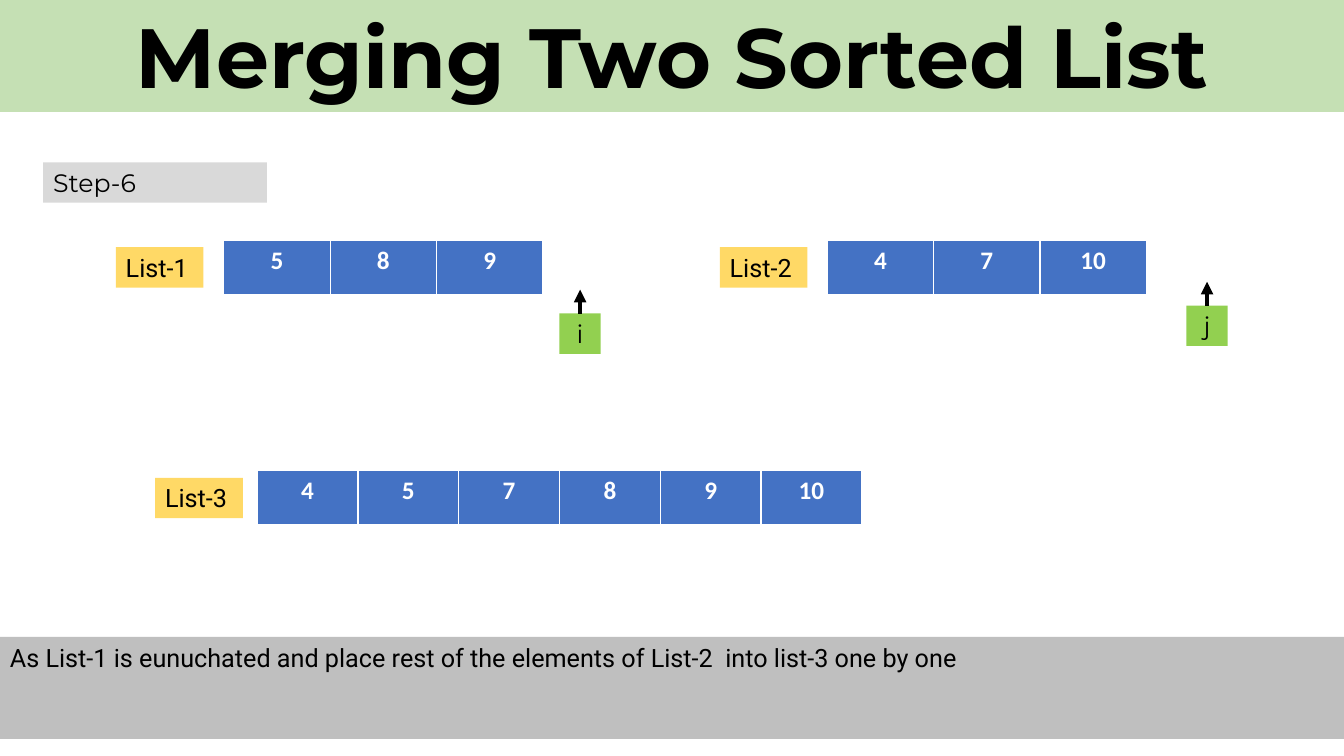
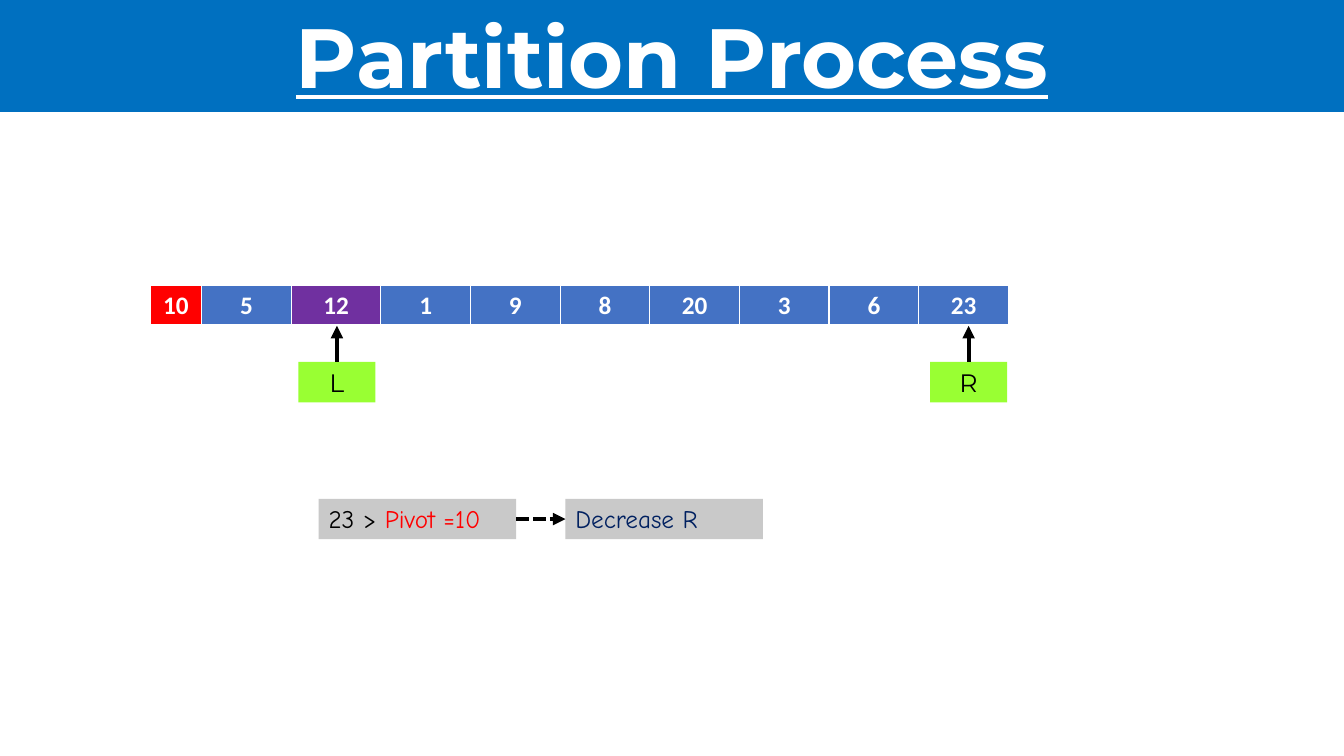
"""Build two slides on merging sorted lists and partitioning around a pivot."""
from dataclasses import dataclass, field

from pptx import Presentation
from pptx.dml.color import RGBColor
from pptx.enum.dml import MSO_LINE
from pptx.enum.shapes import MSO_CONNECTOR
from pptx.enum.text import MSO_ANCHOR, MSO_AUTO_SIZE, PP_ALIGN
from pptx.oxml.ns import qn
from pptx.oxml.xmlchemy import OxmlElement
from pptx.shapes.autoshape import Shape
from pptx.shapes.connector import Connector
from pptx.slide import Slide
from pptx.util import Cm, Pt

LEFT, CENTER = PP_ALIGN.LEFT, PP_ALIGN.CENTER
TOP = MSO_ANCHOR.TOP
FIXED_SIZE = MSO_AUTO_SIZE.NONE
STRAIGHT = MSO_CONNECTOR.STRAIGHT
SHORT_DASH = MSO_LINE.SQUARE_DOT
TOP_SIDE, LEFT_SIDE, RIGHT_SIDE = 0, 1, 3

BLACK = RGBColor(0x00, 0x00, 0x00)
WHITE = RGBColor(0xFF, 0xFF, 0xFF)
RED = RGBColor(0xFF, 0x00, 0x00)
NAVY = RGBColor(0x00, 0x20, 0x60)
PURPLE = RGBColor(0x70, 0x30, 0xA0)
CELL_BLUE = RGBColor(0x44, 0x72, 0xC4)
TITLE_BLUE = RGBColor(0x00, 0x70, 0xC0)
TITLE_GREEN = RGBColor(0xC5, 0xE0, 0xB4)
INDEX_GREEN = RGBColor(0x92, 0xD0, 0x50)
SCAN_GREEN = RGBColor(0x99, 0xFF, 0x33)
YELLOW = RGBColor(0xFF, 0xD9, 0x66)
STEP_GREY = RGBColor(0xD9, 0xD9, 0xD9)
NOTE_GREY = RGBColor(0xBF, 0xBF, 0xBF)
TEST_GREY = RGBColor(0xC9, 0xC9, 0xC9)

SLIDE_WIDTH, SLIDE_HEIGHT = 33.87, 19.05
TITLE_HEIGHT = 2.82
LABEL_HEIGHT = 1.02
LABEL_DROP = 0.18
LIST_HEIGHT = 1.4

HEADING_FORMAT = {"name": "Montserrat", "size": Pt(60), "bold": True}
STEP_FORMAT = {"name": "Montserrat", "size": Pt(18)}
BODY_FORMAT = {"name": "Roboto", "size": Pt(18)}
TEST_FORMAT = {"name": "Comic Neue", "size": Pt(18)}
CELL_FORMAT = {"name": "Calibri", "size": Pt(18), "bold": True}
BORDERS = {"a:lnL": 1, "a:lnR": 1, "a:lnT": 1, "a:lnB": 3}


@dataclass
class Words:
    text: str
    color: RGBColor = BLACK


@dataclass
class Box:
    left: float
    top: float
    width: float
    words: list[Words]
    fill: RGBColor
    text_format: dict
    height: float = LABEL_HEIGHT
    align: PP_ALIGN = LEFT


@dataclass
class NumberRow:
    left: float
    top: float
    height: float
    column_width: float
    values: list[int]
    first_width: float | None = None
    highlights: dict[int, RGBColor] = field(default_factory=dict)


@dataclass
class NamedList:
    name: str
    label_left: float
    numbers: NumberRow


@dataclass
class Pointer:
    name: str
    left: float
    top: float
    width: float
    reach: float
    fill: RGBColor


LISTS = [
    NamedList("List-1", 2.92, NumberRow(5.64, 6.05, LIST_HEIGHT, 2.68, [5, 8, 9])),
    NamedList("List-2", 18.14, NumberRow(20.85, 6.05, LIST_HEIGHT, 2.68, [4, 7, 10])),
    NamedList("List-3", 3.91,
              NumberRow(6.48, 11.86, LIST_HEIGHT, 2.54, [4, 5, 7, 8, 9, 10])),
]
MERGE_POINTERS = [
    Pointer("i", 14.1, 7.9, 1.04, 0.6, INDEX_GREEN),
    Pointer("j", 29.9, 7.7, 1.04, 0.6, INDEX_GREEN),
]
PARTITION_ROW = NumberRow(
    3.78, 7.19, 1.03, 2.26, [10, 5, 12, 1, 9, 8, 20, 3, 6, 23],
    first_width=1.3, highlights={0: RED, 2: PURPLE},
)
PARTITION_POINTERS = [
    Pointer("L", 7.52, 9.12, 1.94, 0.91, SCAN_GREEN),
    Pointer("R", 23.44, 9.12, 1.94, 0.91, SCAN_GREEN),
]
STEP = Box(1.09, 4.09, 5.64, [Words("Step-6")], STEP_GREY, STEP_FORMAT)
NOTE = Box(
    0, 16.05, SLIDE_WIDTH,
    [Words("As List-1 is eunuchated and place rest of the elements of List-2  "
           "into list-3 one by one")],
    NOTE_GREY, BODY_FORMAT, height=2.57,
)
PIVOT_TEST = Box(8.03, 12.57, 4.98, [Words("23 > "), Words("Pivot =10", RED)],
                 TEST_GREY, TEST_FORMAT)
OUTCOME = Box(14.25, 12.57, 4.98, [Words("Decrease R", NAVY)], TEST_GREY, TEST_FORMAT)


def write_words(paragraph, words: Words, text_format: dict) -> None:
    run = paragraph.add_run()
    run.text = words.text
    for attribute, value in text_format.items():
        setattr(run.font, attribute, value)
    run.font.color.rgb = words.color


def draw_box(slide: Slide, box: Box) -> Shape:
    shape = slide.shapes.add_textbox(
        Cm(box.left), Cm(box.top), Cm(box.width), Cm(box.height))
    shape.fill.solid()
    shape.fill.fore_color.rgb = box.fill
    frame_format = {"word_wrap": True, "auto_size": FIXED_SIZE, "vertical_anchor": TOP}
    for attribute, value in frame_format.items():
        setattr(shape.text_frame, attribute, value)
    paragraph = shape.text_frame.paragraphs[0]
    paragraph.alignment = box.align
    for words in box.words:
        write_words(paragraph, words, box.text_format)
    return shape


def draw_title(slide: Slide, text: str, fill: RGBColor, color: RGBColor,
               underline: bool = False) -> None:
    text_format = HEADING_FORMAT | {"underline": underline}
    draw_box(slide, Box(0, 0, SLIDE_WIDTH, [Words(text, color)], fill, text_format,
                        height=TITLE_HEIGHT, align=CENTER))


def add_border(cell, side: str, points: int) -> None:
    border = OxmlElement(side)
    border.set("w", str(Pt(points)))
    fill = OxmlElement("a:solidFill")
    color = OxmlElement("a:srgbClr")
    color.set("val", str(WHITE))
    fill.append(color)
    border.append(fill)
    cell._tc.get_or_add_tcPr().append(border)


def draw_numbers(slide: Slide, numbers: NumberRow) -> None:
    count = len(numbers.values)
    widths = [numbers.column_width] * count
    if numbers.first_width is not None:
        widths[0] = numbers.first_width
    table = slide.shapes.add_table(
        1, count, Cm(numbers.left), Cm(numbers.top),
        Cm(sum(widths)), Cm(numbers.height)).table
    table.first_row = table.horz_banding = False
    for index, (value, width) in enumerate(zip(numbers.values, widths)):
        table.columns[index].width = Cm(width)
        cell = table.cell(0, index)
        for side, points in BORDERS.items():
            add_border(cell, side, points)
        cell.fill.solid()
        cell.fill.fore_color.rgb = numbers.highlights.get(index, CELL_BLUE)
        paragraph = cell.text_frame.paragraphs[0]
        paragraph.alignment = CENTER
        write_words(paragraph, Words(str(value), WHITE), CELL_FORMAT)


def draw_arrow(slide: Slide, start: Shape, side: int, end_x: int, end_y: int) -> Connector:
    arrow = slide.shapes.add_connector(STRAIGHT, end_x, end_y, end_x, end_y)
    arrow.begin_connect(start, side)
    arrow.line.color.rgb = BLACK
    arrow.line.width = Pt(3)
    properties = arrow.element.spPr
    head = OxmlElement("a:tailEnd")
    head.set("type", "triangle")
    properties.find(qn("a:ln")).append(head)
    properties.append(OxmlElement("a:effectLst"))
    return arrow


def draw_pointer(slide: Slide, pointer: Pointer) -> None:
    label = draw_box(slide, Box(pointer.left, pointer.top, pointer.width,
                                [Words(pointer.name)], pointer.fill, STEP_FORMAT,
                                align=CENTER))
    draw_arrow(slide, label, TOP_SIDE, label.left + label.width // 2,
               Cm(pointer.top - pointer.reach))


def draw_list(slide: Slide, named: NamedList) -> None:
    draw_numbers(slide, named.numbers)
    draw_box(slide, Box(named.label_left, named.numbers.top + LABEL_DROP, 2.21,
                        [Words(named.name)], YELLOW, BODY_FORMAT))


def build_merge(slide: Slide) -> None:
    draw_title(slide, "Merging Two Sorted List", TITLE_GREEN, BLACK)
    draw_box(slide, STEP)
    for named in LISTS:
        draw_list(slide, named)
    for pointer in MERGE_POINTERS:
        draw_pointer(slide, pointer)
    draw_box(slide, NOTE)


def build_partition(slide: Slide) -> None:
    draw_title(slide, "Partition Process", TITLE_BLUE, WHITE, underline=True)
    draw_numbers(slide, PARTITION_ROW)
    for pointer in PARTITION_POINTERS:
        draw_pointer(slide, pointer)
    test = draw_box(slide, PIVOT_TEST)
    outcome = draw_box(slide, OUTCOME)
    arrow = draw_arrow(slide, test, RIGHT_SIDE, outcome.left,
                       outcome.top + outcome.height // 2)
    arrow.end_connect(outcome, LEFT_SIDE)
    arrow.line.dash_style = SHORT_DASH


def main() -> None:
    presentation = Presentation()
    presentation.slide_width = Cm(SLIDE_WIDTH)
    presentation.slide_height = Cm(SLIDE_HEIGHT)
    blank = presentation.slide_layouts[6]
    for build in (build_merge, build_partition):
        build(presentation.slides.add_slide(blank))
    presentation.save("out.pptx")


if __name__ == "__main__":
    main()
